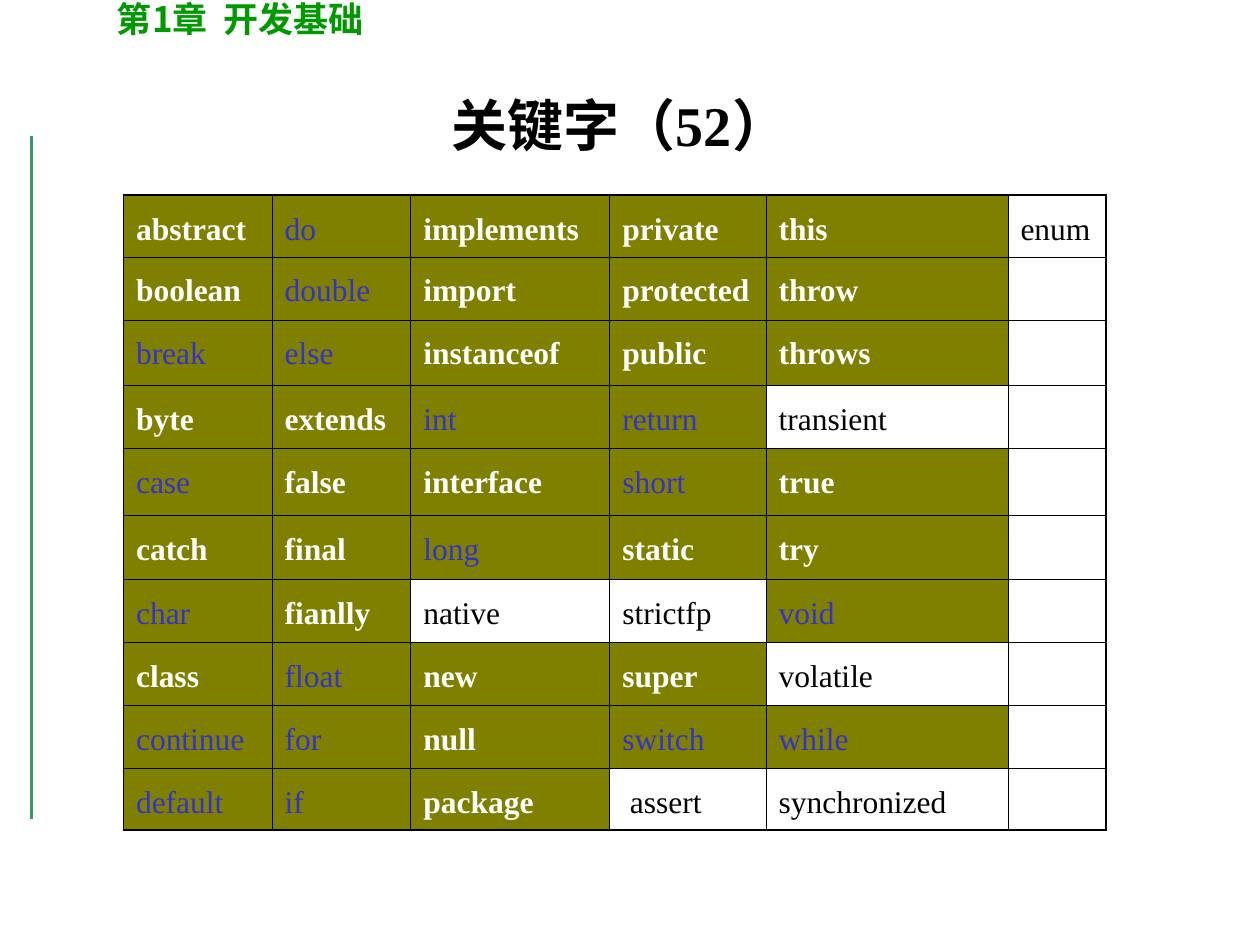
from lxml.etree import SubElement
from pptx import Presentation
from pptx.dml.color import RGBColor
from pptx.enum.shapes import MSO_CONNECTOR
from pptx.enum.text import MSO_ANCHOR, PP_ALIGN
from pptx.oxml.ns import qn
from pptx.util import Inches, Pt

WORDS = [
    ["abstract", "do", "implements", "private", "this", "enum"],
    ["boolean", "double", "import", "protected", "throw", ""],
    ["break", "else", "instanceof", "public", "throws", ""],
    ["byte", "extends", "int", "return", "transient", ""],
    ["case", "false", "interface", "short", "true", ""],
    ["catch", "final", "long", "static", "try", ""],
    ["char", "fianlly", "native", "strictfp", "void", ""],
    ["class", "float", "new", "super", "volatile", ""],
    ["continue", "for", "null", "switch", "while", ""],
    ["default", "if", "package", "assert", "synchronized", ""],
]
BASIC = set("do double break else int return case short long char void float "
            "continue for switch while default if".split())
PLAIN = set("enum transient native strictfp volatile assert synchronized".split())
COLS = [1.18, 1.1, 1.58, 1.24, 1.92, 0.78]
ROWS = [0.49, 0.5, 0.52, 0.5, 0.53, 0.51, 0.5, 0.5, 0.5, 0.49]

SERIF, SANS = "Times New Roman", "Noto Sans CJK SC"
HEAD = [("第", SERIF), ("1", SANS), ("章", SERIF), ("  开发", SANS), ("基础", SERIF)]
TITLE = [("关键字（52）", SERIF)]

BLACK = RGBColor(0, 0, 0)
WHITE = RGBColor(255, 255, 255)
BLUE = RGBColor(0x33, 0x33, 0xCC)
OLIVE = RGBColor(0x80, 0x80, 0)
GREEN = RGBColor(0, 0x99, 0)
TEAL = RGBColor(0x33, 0x99, 0x66)
THIN, THICK = 0.45, 1.08


def write(frame, runs, size=18, color=BLACK, bold=False, align=PP_ALIGN.LEFT, gap=1.0):
    para = frame.paragraphs[0]
    para.alignment, para.line_spacing = align, gap
    for text, face in runs:
        run = para.add_run()
        run.text = text
        font = run.font
        font.size, font.bold, font.name = Pt(size), bold, face
        font.color.rgb = color
        SubElement(font._element, qn("a:ea"), typeface=SANS)


def label(slide, box, runs, anchor=MSO_ANCHOR.TOP, **form):
    frame = slide.shapes.add_textbox(*map(Inches, box)).text_frame
    frame.word_wrap = True
    frame.vertical_anchor = anchor
    write(frame, runs, **form)


def edge(cell, side, width):
    line = SubElement(cell._tc.get_or_add_tcPr(), qn(f"a:ln{side}"), w=str(Pt(width)))
    fill = SubElement(line, qn("a:solidFill"))
    SubElement(fill, qn("a:srgbClr"), val=str(BLACK))


def fill_cell(cell, word, outer):
    for side in "LRTB":
        edge(cell, side, THICK if side in outer else THIN)
    if not word or word in PLAIN:
        cell.fill.background()
    else:
        cell.fill.solid()
        cell.fill.fore_color.rgb = OLIVE
    if word:
        bold = word not in BASIC | PLAIN
        color = BLACK if word in PLAIN else WHITE if bold else BLUE
        write(cell.text_frame, [(word, SERIF)], color=color, bold=bold, gap=1.3)
    if word == "assert":
        cell.margin_left = Inches(0.16)


def add_grid(slide):
    rows, cols = len(ROWS), len(COLS)
    box = map(Inches, (0.98, 1.55, sum(COLS), sum(ROWS)))
    table = slide.shapes.add_table(rows, cols, *box).table
    table.first_row = table.horz_banding = False
    for col, width in zip(table.columns, COLS):
        col.width = Inches(width)
    for r, words in enumerate(WORDS):
        table.rows[r].height = Inches(ROWS[r])
        for c, word in enumerate(words):
            sides = {"L": c == 0, "R": c == cols - 1, "T": r == 0, "B": r == rows - 1}
            fill_cell(table.cell(r, c), word, [s for s in sides if sides[s]])


def main():
    deck = Presentation()
    deck.slide_width, deck.slide_height = Inches(10), Inches(7.5)
    slide = deck.slides.add_slide(deck.slide_layouts[6])
    ends = map(Inches, (0.25, 1.08, 0.25, 6.5))
    rule = slide.shapes.add_connector(MSO_CONNECTOR.STRAIGHT, *ends)
    rule.line.color.rgb, rule.line.width = TEAL, Pt(2.25)
    SubElement(rule._element.spPr, qn("a:effectLst"))
    label(slide, (0.83, -0.07, 5.75, 0.44), HEAD, size=20, color=GREEN, bold=True)
    add_grid(slide)
    label(slide, (0.67, 0.36, 8.5, 1.25), TITLE, anchor=MSO_ANCHOR.MIDDLE,
          size=32, bold=True, align=PP_ALIGN.CENTER)
    deck.save("out.pptx")


if __name__ == "__main__":
    main()
